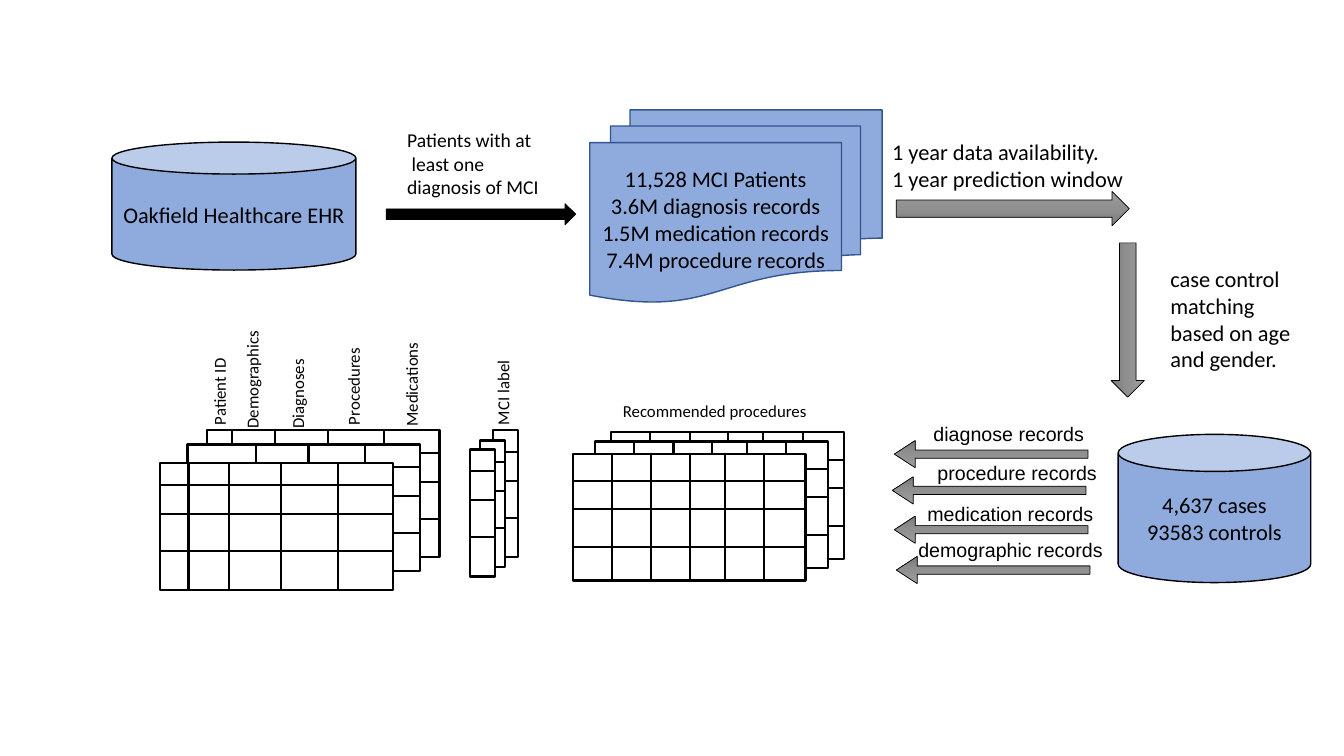
from copy import deepcopy

from pptx import Presentation
from pptx.dml.color import RGBColor
from pptx.enum.shapes import MSO_CONNECTOR, MSO_SHAPE
from pptx.enum.text import MSO_ANCHOR, MSO_AUTO_SIZE, PP_ALIGN
from pptx.oxml.ns import qn
from pptx.oxml.xmlchemy import OxmlElement
from pptx.util import Inches, Pt

CAN, ARROW = MSO_SHAPE.CAN, MSO_SHAPE.RIGHT_ARROW
PAGES, RECT = MSO_SHAPE.FLOWCHART_MULTIDOCUMENT, MSO_SHAPE.RECTANGLE
STRAIGHT = MSO_CONNECTOR.STRAIGHT
MIDDLE, GROW = MSO_ANCHOR.MIDDLE, MSO_AUTO_SIZE.SHAPE_TO_FIT_TEXT
LEFT, CENTER = PP_ALIGN.LEFT, PP_ALIGN.CENTER

BLACK, WHITE, BLUE, NAVY = "000000", "FFFFFF", "8FAADC", "325491"
GREYS = ((0, "9D9D9D"), (0.5, "909090"), (1, "7C7C7C"))
SHEET_H = 12.6


def cell(n):
    """Turn a count of grid cells, ten to the inch, into a length."""
    return Inches(n / 10)


def color(code):
    """Turn a hex string into a colour."""
    return RGBColor.from_string(code)


def put(item, values):
    """Set each format value on an item."""
    for name, value in values.items():
        setattr(item, name, value)


class Board:
    """The slide with its style; all lengths are grid cells."""

    def __init__(self, slide, font="Calibri", size=16):
        """Keep the slide and the main text style."""
        self.slide, self.font, self.size = slide, font, size
        self.shapes = slide.shapes

    def group(self):
        """Send the next elements to a new group."""
        self.shapes = self.slide.shapes.add_group_shape().shapes

    def words(self, item, text, align=LEFT, size=None, font=None):
        """Fill an item with one paragraph for each line of text."""
        frame = item.text_frame
        frame.text = text
        style = {"name": font or self.font, "size": Pt(size or self.size)}
        for para in frame.paragraphs:
            para.alignment = align
            for run in para.runs:
                put(run.font, style)
                run.font.color.rgb = color(BLACK)

    def text(self, box, text, wrap=True, turn=0, **style):
        """Add a text box that grows with its text."""
        item = self.shapes.add_textbox(*map(cell, box))
        item.rotation = turn
        put(item.text_frame, {"word_wrap": wrap, "auto_size": GROW})
        self.words(item, text, **style)

    def shape(self, kind, box, fill, line=BLACK, width=1, text=""):
        """Add a preset shape with flat fill and centred text."""
        item = self.shapes.add_shape(kind, *map(cell, box))
        item.shadow.inherit = False
        item.fill.solid()
        item.fill.fore_color.rgb = color(fill)
        item.line.color.rgb = color(line)
        item.line.width = Pt(width)
        if text:
            item.text_frame.vertical_anchor = MIDDLE
            self.words(item, text, CENTER)
        return item

    def arrow(self, box, turn=0, bends=()):
        """Add a block arrow shaded in grey."""
        item = self.shape(ARROW, box, BLACK, width=0.5)
        item.rotation = turn
        for i, bend in enumerate(bends):
            item.adjustments[i] = bend
        item.fill.gradient()
        item.fill.gradient_angle = 270
        first = next(item._element.spPr.iter(qn("a:gs")))
        first.addnext(deepcopy(first))
        for stop, (place, code) in zip(item.fill.gradient_stops, GREYS):
            stop.position = place
            stop.color.rgb = color(code)

    def line(self, x1, y1, x2, y2):
        """Add a rule of a sheet."""
        item = self.shapes.add_connector(STRAIGHT, *map(cell, (x1, y1, x2, y2)))
        item.line.color.rgb = color(BLACK)
        item.line.width = Pt(1.5)
        item._element.spPr.append(OxmlElement("a:effectLst"))

    def sheet(self, x, y, wide, cols, rows):
        """Add an empty table sheet, ruled at the given offsets."""
        self.shape(RECT, (x, y, wide, SHEET_H), WHITE, width=1.5)
        for col in cols:
            self.line(x + col, y, x + col, y + SHEET_H)
        for row in rows:
            self.line(x, y + row, x + wide, y + row)

    def label(self, x, y, wide, text):
        """Add a column heading that reads upwards."""
        self.text((x, y, wide, 3), text, wrap=False, turn=270, size=12)


deck = Presentation()
put(deck, {"slide_width": Inches(13.33), "slide_height": Inches(7.5)})
board = Board(deck.slides.add_slide(deck.slide_layouts[6]))

# Cohort selection
board.shape(CAN, (11.1, 14.1, 24.2, 12.7), BLUE, text="Oakfield Healthcare EHR")
board.shape(ARROW, (38.3, 20.2, 18.8, 2.1), BLACK, width=0.5)
board.text((39.4, 12.2, 15.6, 8.1),
           "Patients with at\n least one\ndiagnosis of MCI", wrap=False, size=14)
board.shape(PAGES, (58.5, 10.9, 29, 19.1), BLUE, NAVY,
            text="11,528 MCI Patients\n3.6M diagnosis records\n"
                 "1.5M medication records\n7.4M procedure records")
board.arrow((88.9, 19, 23.1, 3.4))
board.text((87.5, 13.2, 26.2, 6.4),
           "1 year data availability.\n1 year prediction window")

# Case control matching
board.arrow((104.2, 30.1, 15.3, 3.3), turn=90)
board.text((115.1, 25.8, 14.8, 11.8),
           "case control matching based on age and gender.")
board.shape(CAN, (110.9, 43.1, 19.1, 14.7), BLUE,
            text="4,637 cases\n93583 controls")

# Record kinds: arrow left and top, text left and top
RECORDS = {
    "diagnose": (88.7, 43.7, 91.6, 41.4),
    "procedure": (88.5, 47.3, 92, 45.2),
    "medication": (88.7, 51.2, 91, 49.3),
    "demographic": (88.9, 55.2, 90.1, 52.9),
}
for x, y, *_ in RECORDS.values():
    board.arrow((x, y, 19.2, 2.7), turn=180, bends=(0.302, 0.764))
for kind, (*_, x, y) in RECORDS.items():
    board.text((x, y, 20.6, 3.4), f"{kind} records", size=14, font="Arial")

# Feature sheets
board.group()
FIELDS = (6.8, 12, 17.6)
for x, y, cols in ((20.5, 42.7, (2.5, *FIELDS)), (18.6, 44.1, FIELDS),
                   (15.9, 45.9, (2.8, *FIELDS))):
    board.sheet(x, y, 23.1, cols, (2.2, 5.1, 8.8))
for spot in ((17.4, 37.3, 8.7, "Patient ID"), (19.1, 36.1, 11.8, "Demographics"),
             (25, 37.5, 9, "Diagnoses"), (30.2, 36.8, 9.7, "Procedures"),
             (35.6, 36.6, 10.4, "Medications")):
    board.label(*spot)

# Label sheets
board.group()
for x, y in ((48.9, 42.7), (47.6, 43.7), (46.6, 44.6)):
    board.sheet(x, y, 2.5, (), (2.1, 5, 8.7))
board.label(45.6, 37.4, 8.5, "MCI label")

# Recommendation sheets
board.group()
for x, y in ((60.6, 42.9), (59, 43.8), (56.8, 45)):
    board.sheet(x, y, 23.1, (3.9, 7.8, 11.6, 15.1, 19), (2.7, 5.5, 9.3))
board.text((60.8, 39.3, 20.4, 3), "Recommended procedures", wrap=False, size=12)

deck.save("out.pptx")
